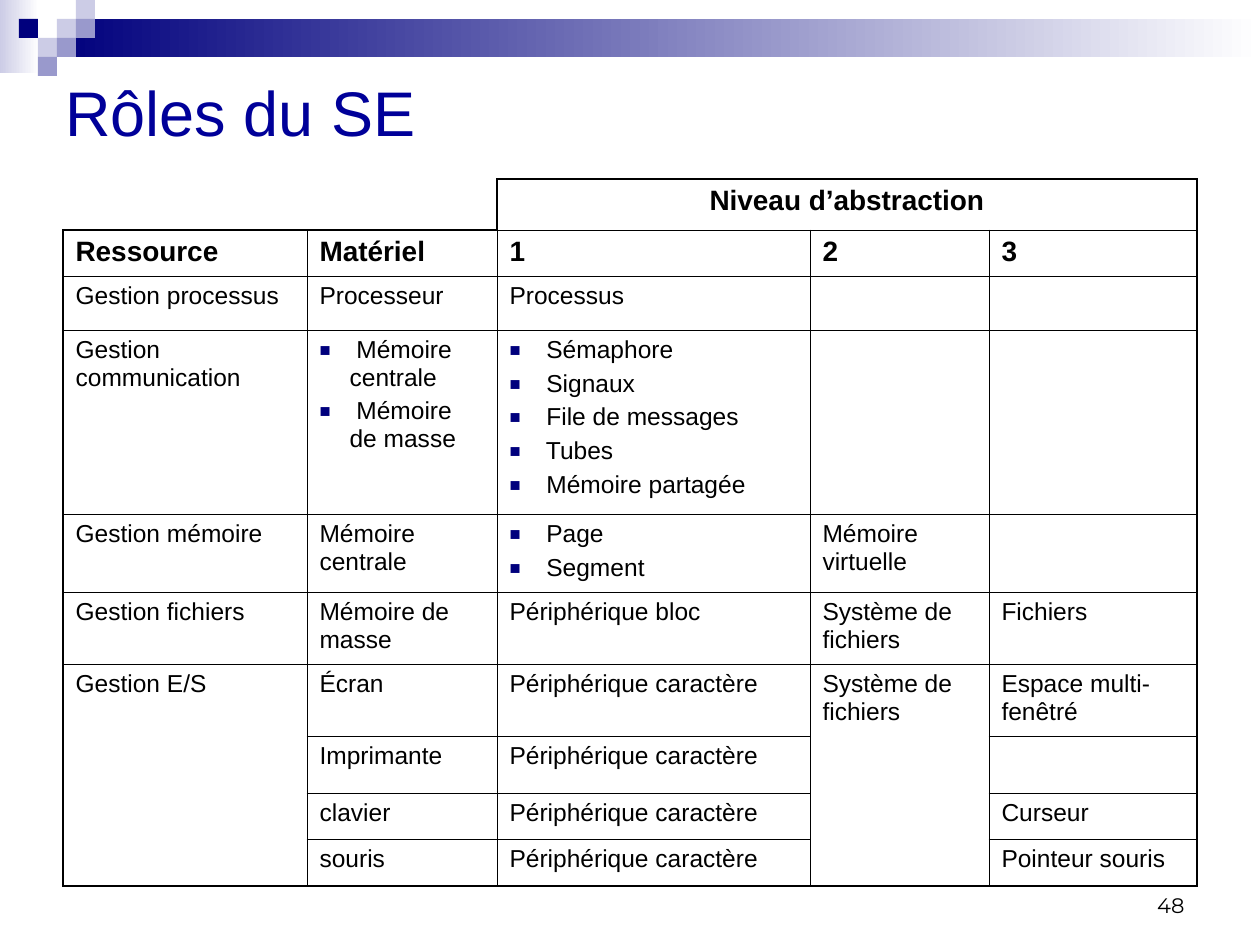
from lxml import etree
from pptx import Presentation
from pptx.dml.color import RGBColor
from pptx.enum.shapes import MSO_SHAPE
from pptx.enum.text import MSO_ANCHOR, PP_ALIGN
from pptx.oxml.ns import qn
from pptx.util import Pt

SCALE = 914400 / 126
RECT = MSO_SHAPE.RECTANGLE
LEFT, CENTER, RIGHT = PP_ALIGN.LEFT, PP_ALIGN.CENTER, PP_ALIGN.RIGHT
MIDDLE, BOTTOM = MSO_ANCHOR.MIDDLE, MSO_ANCHOR.BOTTOM

BLACK = RGBColor(0x00, 0x00, 0x00)
WHITE = RGBColor(0xFF, 0xFF, 0xFF)
NAVY = RGBColor(0x00, 0x00, 0x7D)
TITLE_BLUE = RGBColor(0x00, 0x00, 0x99)
LILAC = RGBColor(0x99, 0x99, 0xCC)
PALE = RGBColor(0xCC, 0xCC, 0xE6)

THIN, THICK = Pt(0.45), Pt(1.08)
BULLET_INDENT = 30


def px(n):
    return round(n * SCALE)


def add_bullet(p):
    pPr = p._p.get_or_add_pPr()
    pPr.set("marL", str(px(BULLET_INDENT)))
    pPr.set("indent", str(-px(BULLET_INDENT)))
    color = etree.SubElement(pPr, qn("a:buClr"))
    etree.SubElement(color, qn("a:srgbClr"), val=str(NAVY))
    etree.SubElement(pPr, qn("a:buSzPct"), val="75000")
    etree.SubElement(pPr, qn("a:buFont"), typeface="Arial")
    etree.SubElement(pPr, qn("a:buChar"), char="■")


def write(tf, text, size=14, font="Arial", color=BLACK, bold=False,
          align=LEFT, bullet=False, gap=3.5):
    """Fill a text frame, one paragraph for each line of text."""
    for i, line in enumerate(text.split("\n")):
        p = tf.add_paragraph() if i else tf.paragraphs[0]
        if bullet:
            add_bullet(p)
        p.alignment = align
        if i:
            p.space_before = Pt(gap)
        r = p.add_run()
        r.text = line
        r.font.size = Pt(size)
        r.font.name = font
        r.font.bold = bold
        r.font.color.rgb = color


def set_border(cell, side, width):
    """Draw one side of a cell, or hide it when the width is 0."""
    ln = etree.SubElement(cell._tc.get_or_add_tcPr(), qn("a:ln" + side), w=str(width))
    if width:
        fill = etree.SubElement(ln, qn("a:solidFill"))
        etree.SubElement(fill, qn("a:srgbClr"), val=str(BLACK))
    else:
        etree.SubElement(ln, qn("a:noFill"))


class SlideBuilder:
    def __init__(self, slide):
        self.slide = slide

    def rect(self, x, y, w, h, color, fade=False):
        sp = self.slide.shapes.add_shape(RECT, px(x), px(y), px(w), px(h))
        sp.shadow.inherit = False
        sp.line.fill.background()
        if fade:
            sp.fill.gradient()
            sp.fill.gradient_angle = 0
            for stop, rgb in zip(sp.fill.gradient_stops, (color, WHITE)):
                stop.color.rgb = rgb
        else:
            sp.fill.solid()
            sp.fill.fore_color.rgb = color

    def text(self, x, y, w, h, text, anchor, **style):
        tf = self.slide.shapes.add_textbox(px(x), px(y), px(w), px(h)).text_frame
        tf.word_wrap = True
        tf.vertical_anchor = anchor
        write(tf, text, **style)

    def table(self, x, y, cols, rows, cells, merges, void):
        frame = self.slide.shapes.add_table(len(rows), len(cols), px(x), px(y),
                                            px(sum(cols)), px(sum(rows)))
        table = frame.table
        table.first_row = table.horz_banding = False
        for col, w in zip(table.columns, cols):
            col.width = px(w)
        for row, h in zip(table.rows, rows):
            row.height = px(h)

        boxes = {(r, c): (r, c, r, c) for r in range(len(rows)) for c in range(len(cols))}
        for r0, c0, r1, c1 in merges:
            table.cell(r0, c0).merge(table.cell(r1, c1))
            for r in range(r0, r1 + 1):
                for c in range(c0, c1 + 1):
                    boxes[r, c] = (r0, c0, r1, c1)

        for (r, c), box in boxes.items():
            cell = table.cell(r, c)
            self.outline(cell, (r, c), box, boxes, void)
            cell.fill.background()
            if cells[r][c]:
                text, style = cells[r][c]
                write(cell.text_frame, text, **style)

    def outline(self, cell, at, box, boxes, void):
        """Thick around the table and its void corner, thin elsewhere."""
        r, c = at
        r0, c0, r1, c1 = box
        sides = (("L", (r, c0 - 1), c == c0), ("R", (r, c1 + 1), c == c1),
                 ("T", (r0 - 1, c), r == r0), ("B", (r1 + 1, c), r == r1))
        for side, beyond, on_edge in sides:
            outside = beyond not in boxes
            drawn = (on_edge or at == (r0, c0)) and not (outside and box == void)
            thick = outside or void in (box, boxes.get(beyond))
            set_border(cell, side, (THICK if thick else THIN) if drawn else 0)


def head(text, **style):
    return text, dict(size=16, bold=True, **style)


def body(text):
    return text, {}


def bullets(*lines):
    return "\n".join(" " + line for line in lines), dict(bullet=True)


def device_row(name, use, first=None, files=None):
    return [first, body(name), body("Périphérique caractère"), files, use]


def main():
    prs = Presentation()
    prs.slide_width, prs.slide_height = px(1260), px(945)
    s = SlideBuilder(prs.slides.add_slide(prs.slide_layouts[6]))

    # Header bands and mosaic
    s.rect(0, 0, 39, 73, PALE, fade=True)
    s.rect(57, 19, 1203, 38, NAVY, fade=True)
    tile = 19
    mosaic = ((3, 1, PALE), (4, 0, PALE), (4, 1, LILAC), (2, 2, PALE),
              (1, 1, NAVY), (3, 2, LILAC), (2, 3, LILAC))
    for col, row, color in mosaic:
        s.rect(col * tile, row * tile, tile, tile, color)

    # Resource table
    files = body("Système de fichiers")
    cells = [
        [None, None, head("Niveau d’abstraction", align=CENTER), None, None],
        [head(t) for t in ("Ressource", "Matériel", "1", "2", "3")],
        [body("Gestion processus"), body("Processeur"), body("Processus"), None, None],
        [body("Gestion communication"),
         bullets("Mémoire centrale", "Mémoire de masse"),
         bullets("Sémaphore", "Signaux", "File de messages", "Tubes", "Mémoire partagée"),
         None, None],
        [body("Gestion mémoire"), body("Mémoire centrale"), bullets("Page", "Segment"),
         body("Mémoire virtuelle"), None],
        [body("Gestion fichiers"), body("Mémoire de masse"), body("Périphérique bloc"),
         files, body("Fichiers")],
        device_row("Écran", body("Espace multi-fenêtré"), body("Gestion E/S"), files),
        device_row("Imprimante", None),
        device_row("clavier", body("Curseur")),
        device_row("souris", body("Pointeur souris")),
    ]
    corner = (0, 0, 0, 1)
    s.table(63, 179, cols=(244, 190, 313, 179, 208),
            rows=(50, 46, 54, 184, 78, 72, 72, 57, 46, 47), cells=cells,
            merges=(corner, (0, 2, 0, 4), (6, 0, 9, 0), (6, 3, 9, 3)), void=corner)

    # Title and page number
    s.text(53, 32, 1166, 158, "Rôles du SE", MIDDLE, size=36, color=TITLE_BLUE)
    s.text(903, 861, 294, 63, "48", BOTTOM, size=12, font="Montserrat", align=RIGHT)

    prs.save("out.pptx")


if __name__ == "__main__":
    main()
